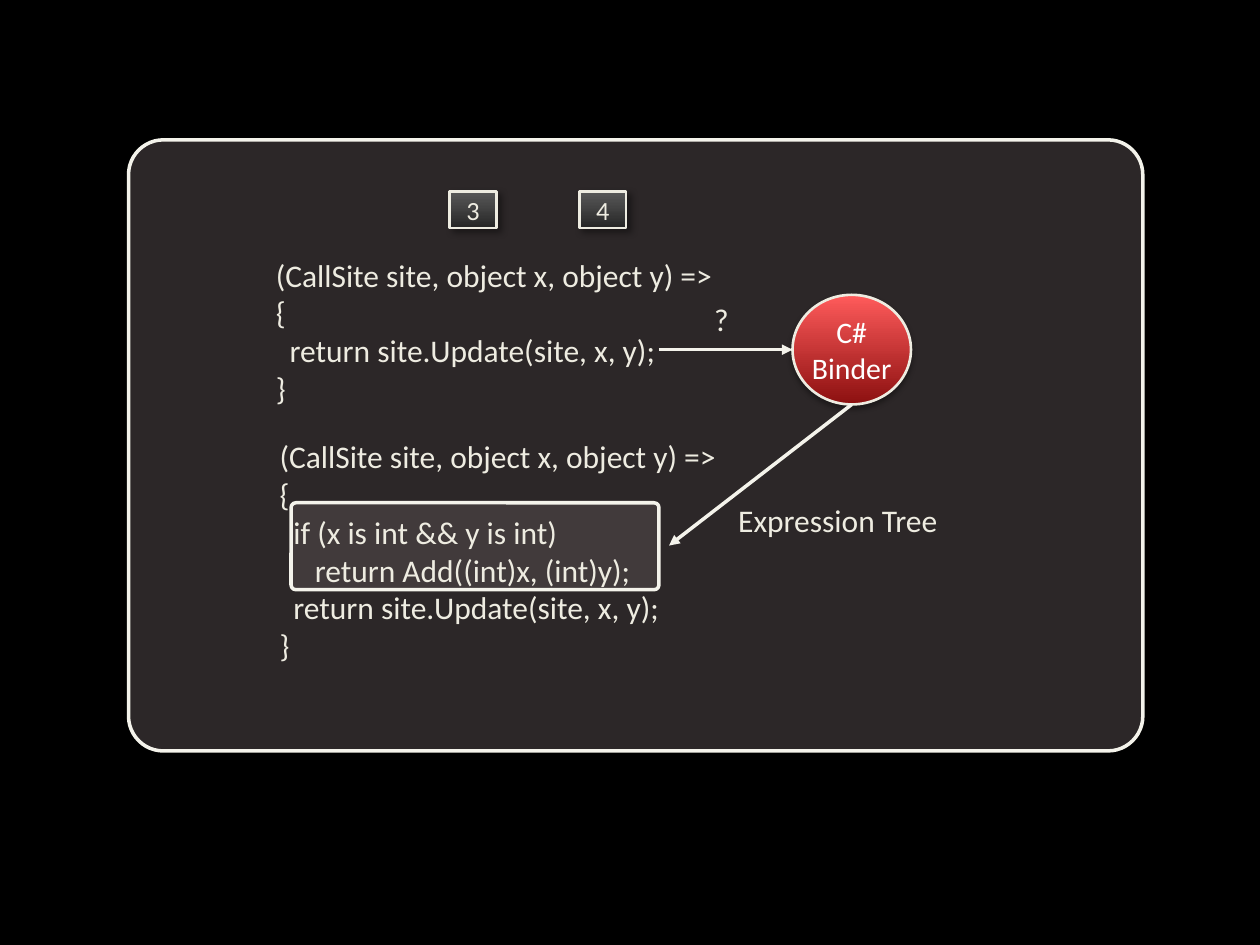
from lxml.etree import SubElement
from pptx import Presentation
from pptx.dml.color import RGBColor
from pptx.enum.shapes import MSO_CONNECTOR, MSO_SHAPE as SHAPE
from pptx.enum.text import MSO_ANCHOR, MSO_AUTO_SIZE, PP_ALIGN
from pptx.oxml.ns import qn
from pptx.util import Inches, Pt

CREAM, OUTLINE, PANEL = "EEECE1", "F4F3EB", "564C4D"
SIGNATURE = ("(CallSite site, object x, object y) =>", 0)
UPDATE = ("return site.Update(site, x, y);", 0.11)
RULE = [("if (x is int && y is int)", 0.11), ("return Add((int)x, (int)y);", 0.28)]


def rgb(color):
    """Turn a hex string into a colour."""
    return RGBColor.from_string(color)


def set_line(line, color, width):
    """Give a line its colour and width in points."""
    line.color.rgb = rgb(color)
    line.width = Pt(width)


def write(frame, lines, size, color=CREAM, align=PP_ALIGN.LEFT):
    """Write (text, indent) lines, one paragraph each."""
    frame.word_wrap = True
    for i, (text, indent) in enumerate(lines):
        paragraph = frame.paragraphs[0] if i == 0 else frame.add_paragraph()
        paragraph.alignment = align
        if indent:
            paragraph._p.get_or_add_pPr().set("marL", str(Inches(indent)))
        run = paragraph.add_run()
        run.text = text
        run.font.name = "Calibri"
        run.font.size = Pt(size)
        run.font.color.rgb = rgb(color)


def add_text(slide, left, top, width, height, lines):
    """Add a text box of code or label lines."""
    box = slide.shapes.add_textbox(*map(Inches, (left, top, width, height)))
    write(box.text_frame, lines, 18)
    box.text_frame.auto_size = MSO_AUTO_SIZE.SHAPE_TO_FIT_TEXT


def add_panel(slide, left, top, width, height):
    """Add a translucent rounded panel."""
    panel = slide.shapes.add_shape(
        SHAPE.ROUNDED_RECTANGLE, *map(Inches, (left, top, width, height)))
    panel.adjustments[0] = 0.057
    panel.shadow.inherit = False
    panel.fill.solid()
    panel.fill.fore_color.rgb = rgb(PANEL)
    color = panel._element.spPr.find(qn("a:solidFill"))[0]
    SubElement(color, qn("a:alpha"), val="52000")
    set_line(panel.line, OUTLINE, 2)


def add_glossy(slide, kind, box, lines, size, color, gradient, shadow, inset):
    """Add a shape with an upward gradient, a drop shadow and centred text."""
    shape = slide.shapes.add_shape(kind, *map(Inches, box))
    shape.fill.gradient()
    shape.fill.gradient_angle = 90
    for stop, shade, position in zip(shape.fill.gradient_stops, gradient, (0, 1)):
        stop.color.rgb = rgb(shade)
        stop.position = position
    set_line(shape.line, CREAM, 1.5)
    shape.shadow.inherit = False
    alpha, blur, distance, angle = shadow
    effects = shape._element.spPr.find(qn("a:effectLst"))
    outer = SubElement(effects, qn("a:outerShdw"), blurRad=str(Pt(blur)),
                       dist=str(Pt(distance)), dir=str(angle * 60000), rotWithShape="0")
    black = SubElement(outer, qn("a:srgbClr"), val="000000")
    SubElement(black, qn("a:alpha"), val=str(alpha * 1000))
    frame = shape.text_frame
    frame.margin_left = frame.margin_right = Inches(inset)
    frame.vertical_anchor = MSO_ANCHOR.MIDDLE
    write(frame, [(line, 0) for line in lines], size, color, PP_ALIGN.CENTER)


def add_arrow(slide, *ends):
    """Add a straight arrow between two points."""
    arrow = slide.shapes.add_connector(MSO_CONNECTOR.STRAIGHT, *map(Inches, ends))
    set_line(arrow.line, OUTLINE, 2)
    SubElement(arrow.line._get_or_add_ln(), qn("a:tailEnd"), type="triangle")
    SubElement(arrow._element.spPr, qn("a:effectLst"))


def add_arguments(slide, left, top, width, height):
    """Place the two argument values above their parameters."""
    size = 0.37
    for value, x in (("3", left), ("4", left + width - size)):
        add_glossy(slide, SHAPE.RECTANGLE, (x, top, size, height), [value], 15, CREAM,
                   ("262626", "595959"), (40, 4, 3, 45), 0.1)


def add_binder(slide, left, top, width, height):
    """Place the binder with its incoming query and outgoing tree."""
    middle, center, bottom = top + height / 2, left + width / 2, top + height
    add_glossy(slide, SHAPE.OVAL, (left, top, width, height), ["C#", "Binder"], 17,
               "FFFFFF", ("8C1010", "FF5B5B"), (35, 3.1, 1.8, 90), 0)
    add_arrow(slide, left - 1.06, middle, left, middle)
    add_text(slide, left - 0.72, top - 0.01, 0.36, 0.4, [("?", 0)])
    add_arrow(slide, center, bottom, center - 1.45, bottom + 1.12)
    add_text(slide, left - 0.53, bottom + 0.72, 1.81, 0.4, [("Expression Tree", 0)])


def add_delegate(slide, left, top, width, height, body):
    """Place a call site delegate with the given body."""
    add_text(slide, left, top, width, height, [SIGNATURE, ("{", 0), *body, ("}", 0)])


def main():
    """Build and save the slide."""
    deck = Presentation()
    deck.slide_width, deck.slide_height = Inches(10), Inches(7.5)
    slide = deck.slides.add_slide(deck.slide_layouts[6])
    slide.background.fill.solid()
    slide.background.fill.fore_color.rgb = rgb("000000")
    add_panel(slide, 1.02, 1.11, 8.05, 4.85)
    add_panel(slide, 2.31, 3.99, 2.92, 0.69)
    add_binder(slide, 6.29, 2.34, 0.94, 0.87)
    add_arguments(slide, 3.57, 1.52, 1.4, 0.29)
    add_delegate(slide, 2.09, 1.98, 3.82, 1.31, [UPDATE])
    add_delegate(slide, 2.12, 3.42, 3.82, 1.92, [*RULE, UPDATE])
    deck.save("out.pptx")


if __name__ == "__main__":
    main()
